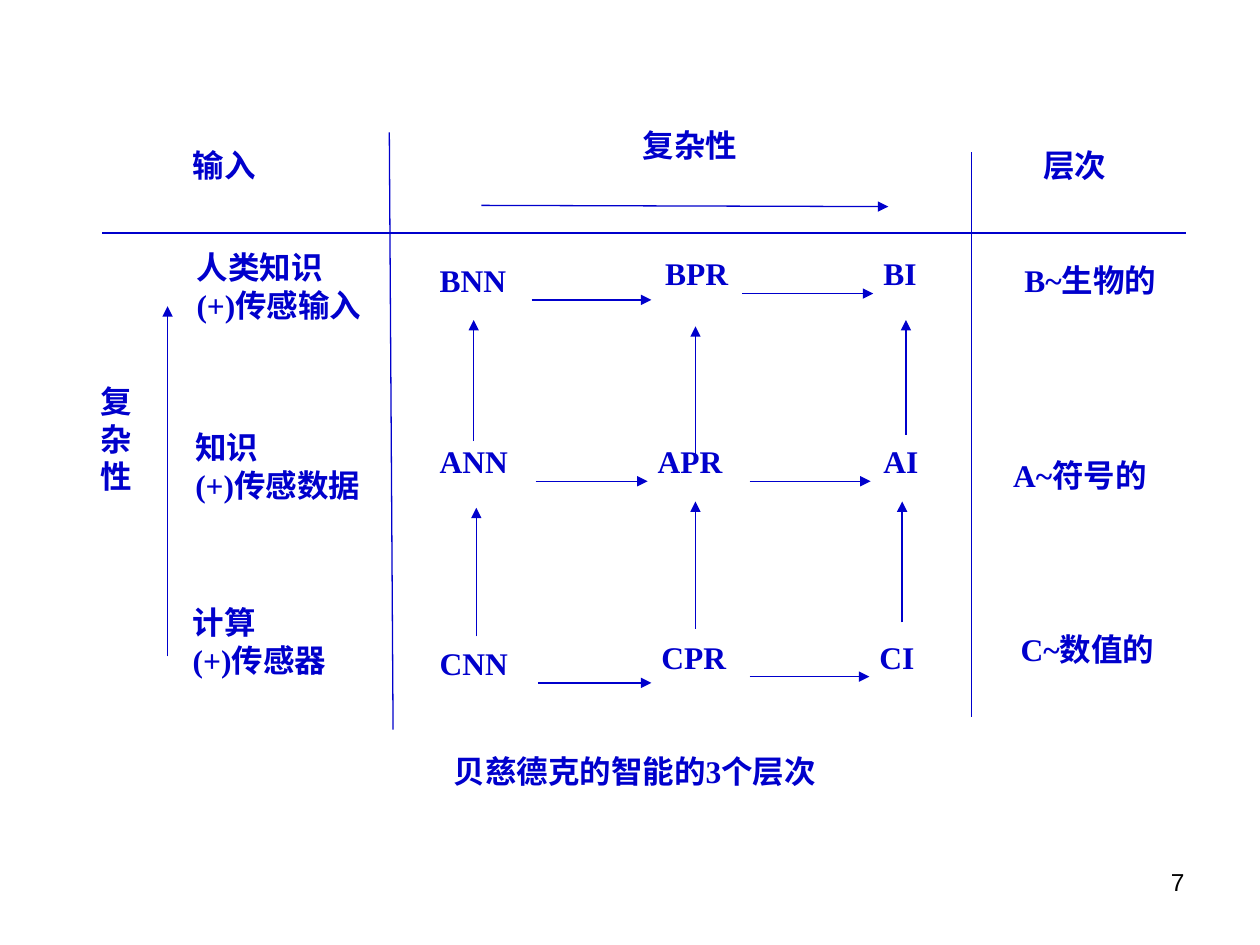
from pptx import Presentation
from pptx.dml.color import RGBColor
from pptx.enum.shapes import MSO_CONNECTOR, MSO_SHAPE
from pptx.enum.text import MSO_ANCHOR, PP_ALIGN
from pptx.oxml.ns import qn
from pptx.util import Inches, Pt
from lxml import etree

COLORS = {"blue": "0000CC", "white": "FFFFFF", "black": "000000"}

prs = Presentation()
prs.slide_width, prs.slide_height = Inches(10), Inches(7.5)
s = prs.slides.add_slide(prs.slide_layouts[6])


def add_text(lines, left, top, width, height, filled=False):
    """Add bold blue justified lines, on a white rectangle if filled."""
    box = [Inches(v) for v in (left, top, width, height)]
    if filled:
        sp = s.shapes.add_shape(MSO_SHAPE.RECTANGLE, *box)
        sp.shadow.inherit = False
        sp.fill.solid()
        sp.fill.fore_color.rgb = RGBColor.from_string(COLORS["white"])
        sp.line.fill.background()
    else:
        sp = s.shapes.add_textbox(*box)
    tf = sp.text_frame
    tf.word_wrap = True
    tf.vertical_anchor = MSO_ANCHOR.TOP
    tf.margin_left = tf.margin_right = Inches(0.02)
    tf.margin_top = tf.margin_bottom = Inches(0.01)
    for i, line in enumerate(lines):
        p = tf.add_paragraph() if i else tf.paragraphs[0]
        p.alignment = PP_ALIGN.JUSTIFY
        r = p.add_run()
        r.text = line
        r.font.name, r.font.size, r.font.bold = "Times New Roman", Pt(18), True
        r.font.color.rgb = RGBColor.from_string(COLORS["blue"])


def add_line(x1, y1, x2, y2, arrow=True):
    ln = s.shapes.add_connector(
        MSO_CONNECTOR.STRAIGHT, Inches(x1), Inches(y1), Inches(x2), Inches(y2))
    ln.line.width = Pt(0.75)
    ln.line.color.rgb = RGBColor.from_string(COLORS["blue"])
    if arrow:
        etree.SubElement(ln.line._get_or_add_ln(), qn("a:tailEnd"), type="triangle")
    etree.SubElement(ln._element.spPr, qn("a:effectLst"))


# Table rules
for rule in [(0.81, 1.85, 9.41, 1.85), (3.09, 1.05, 3.12, 5.79),
             (7.71, 1.21, 7.71, 5.69)]:
    add_line(*rule, arrow=False)

# Grid of systems, bottom level first
nodes = [
    ("CNN", 3.47, 5.1), ("CPR", 5.23, 5.05), ("CI", 6.96, 5.05),
    ("ANN", 3.47, 3.5), ("APR", 5.2, 3.5), ("AI", 6.99, 3.5),
    ("BNN", 3.47, 2.06), ("BPR", 5.26, 2.01), ("BI", 6.99, 2.01),
]
for name, left, top in nodes:
    add_text([name], left, top, 0.66 if len(name) == 3 else 0.51, 0.55)

across = [
    (4.27, 5.17, 5.42), (5.95, 6.9, 5.37),
    (4.25, 5.14, 3.82), (5.95, 6.91, 3.82),
    (4.22, 5.17, 2.38), (5.89, 6.93, 2.33),
]
for x1, x2, y in across:
    add_line(x1, y, x2, y)

upward = [
    (3.78, 5.05, 4.03), (3.76, 3.5, 2.54),
    (5.52, 4.99, 3.98), (5.52, 3.61, 2.59),
    (7.16, 4.94, 3.98), (7.19, 3.45, 2.54),
]
for x, y1, y2 in upward:
    add_line(x, y1, x, y2)

# Inputs and levels on either side of the grid
inputs = [
    (["人类知识", "(+)传感输入"], 1.54, 1.96),
    (["知识", "(+)传感数据"], 1.53, 3.39),
    (["计算", "(+)传感器"], 1.51, 4.78),
]
for lines, left, top in inputs:
    add_text(lines, left, top, 1.36, 1.07, filled=True)

levels = [("B~生物的", 8.11, 2.06), ("A~符号的", 8.02, 3.61), ("C~数值的", 8.08, 4.99)]
for level, left, top in levels:
    add_text([level], left, top, 1.25, 0.57)

# Complexity axes, headings and caption
add_line(1.33, 5.21, 1.33, 2.43)
add_line(3.82, 1.63, 7.05, 1.64)
add_text(["复杂性"], 0.78, 3.02, 0.37, 1.65)
add_text(["复杂性"], 5.08, 0.99, 0.96, 0.49)
add_text(["输入"], 1.51, 1.15, 0.66, 0.53)
add_text(["层次"], 8.26, 1.15, 0.66, 0.53)
add_text(["贝慈德克的智能的3个层次"], 3.58, 5.96, 3.86, 0.59)

# Page number
tf = s.shapes.add_textbox(Inches(7.17), Inches(6.83), Inches(2.33), Inches(0.52)).text_frame
tf.word_wrap = True
p = tf.paragraphs[0]
p.alignment = PP_ALIGN.RIGHT
r = p.add_run()
r.text = "7"
r.font.name, r.font.size = "Arial", Pt(14)
r.font.color.rgb = RGBColor.from_string(COLORS["black"])

prs.save("out.pptx")
